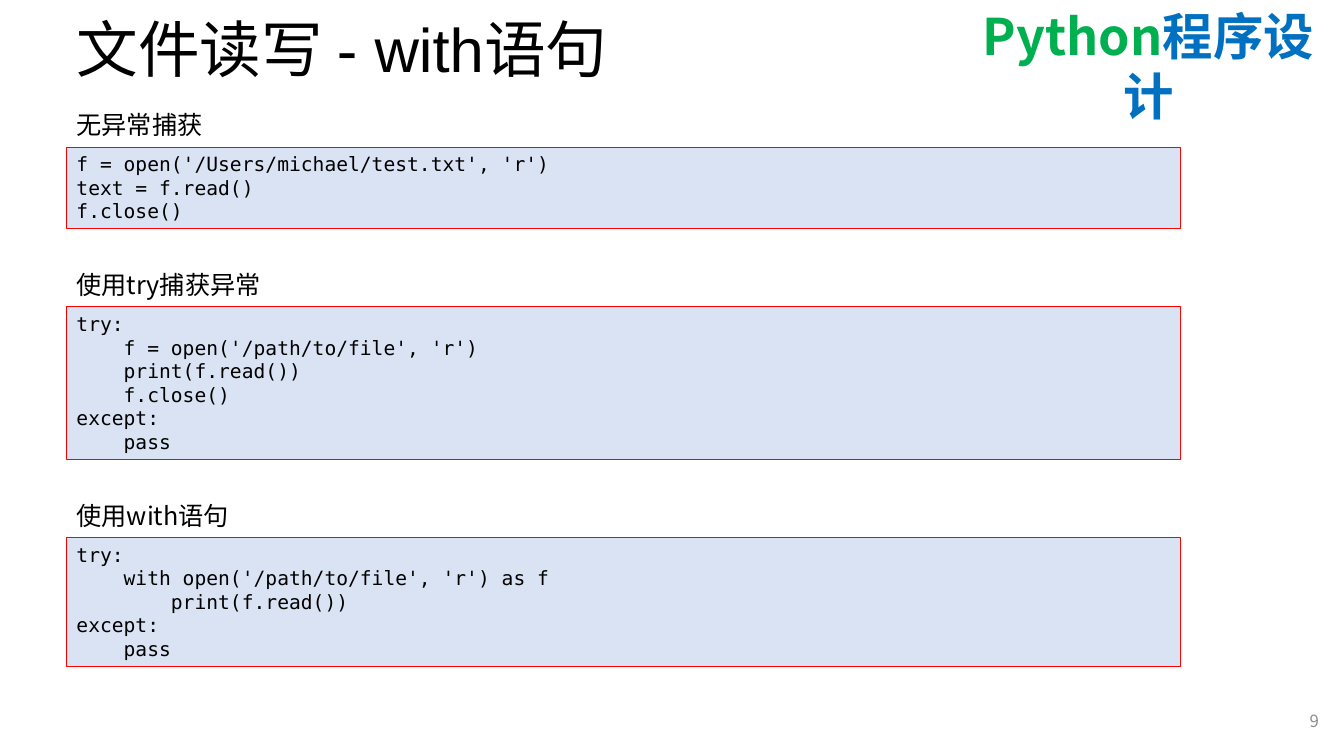
"""Build the slide on reading files with and without the with statement."""
from lxml import etree
from pptx import Presentation
from pptx.dml.color import RGBColor
from pptx.enum.shapes import MSO_SHAPE
from pptx.enum.text import MSO_ANCHOR, PP_ALIGN
from pptx.oxml.ns import qn
from pptx.util import Inches, Pt

RECT = MSO_SHAPE.RECTANGLE
TOP, MIDDLE = MSO_ANCHOR.TOP, MSO_ANCHOR.MIDDLE
LEFT, CENTER, RIGHT = PP_ALIGN.LEFT, PP_ALIGN.CENTER, PP_ALIGN.RIGHT

TITLE = "文件读写 - with语句"
COURSE = [("Python", "green"), ("程序设计", "blue")]
NUMBER = "9"
SECTIONS = [
    ("无异常捕获", """f = open('/Users/michael/test.txt', 'r')
text = f.read()
f.close()"""),
    ("使用try捕获异常", """try:
    f = open('/path/to/file', 'r')
    print(f.read())
    f.close()
except:
    pass"""),
    ("使用with语句", """try:
    with open('/path/to/file', 'r') as f
        print(f.read())
except:
    pass"""),
]

THEME = {
    "black": "000000", "green": "00B050", "blue": "0070C0",
    "gray": "8C8C8C", "panel": "DAE3F3", "border": "FF0000",
    "head": "Arial", "body": "Noto Sans CJK SC", "mono": "DejaVu Sans Mono",
    "title": 44, "course": 36, "label": 18, "code": 14, "number": 12,
}
EDGE, WIDE = 0.66, 11.05
START, DROP, GAP = 1.04, 0.42, 0.36
LINE, PAD = 0.235, 0.1


def color(name):
    return RGBColor.from_string(THEME[name])


def style(run, size, face="body", tint="black", bold=False):
    font = run.font
    font.size, font.name, font.bold = Pt(THEME[size]), THEME[face], bold
    font.color.rgb = color(tint)
    asian = etree.SubElement(run._r.get_or_add_rPr(), qn("a:ea"))
    asian.set("typeface", THEME["body"])


def write(shape, text, size, face="body", tint="black", align=LEFT, anchor=TOP):
    frame = shape.text_frame
    frame.word_wrap = True
    frame.vertical_anchor = anchor
    frame.text = text
    for para in frame.paragraphs:
        para.alignment = align
        for run in para.runs:
            style(run, size, face, tint)
    return frame


def add_box(slide, *place):
    return slide.shapes.add_textbox(*map(Inches, place))


def add_code(slide, text, top, high):
    panel = slide.shapes.add_shape(RECT, *map(Inches, (EDGE, top, WIDE, high)))
    panel.shadow.inherit = False
    panel.fill.solid()
    panel.fill.fore_color.rgb = color("panel")
    panel.line.color.rgb = color("border")
    panel.line.width = Pt(0.75)
    write(panel, text, "code", "mono")


def main():
    deck = Presentation()
    deck.slide_width, deck.slide_height = Inches(13.33), Inches(7.5)
    slide = deck.slides.add_slide(deck.slide_layouts[6])

    course = add_box(slide, 9.47, 0, 3.84, 0.71).text_frame
    course.word_wrap = True
    para = course.paragraphs[0]
    para.alignment = CENTER
    for text, tint in COURSE:
        run = para.add_run()
        run.text = text
        style(run, "course", tint=tint, bold=True)

    title = write(add_box(slide, EDGE, 0, 11.5, 1.05), TITLE, "title", "head", anchor=MIDDLE)
    title.paragraphs[0].line_spacing = 0.9
    write(add_box(slide, 10.18, 6.95, 3, 0.4), NUMBER, "number",
          tint="gray", align=RIGHT, anchor=MIDDLE)

    top = START
    for label, code in SECTIONS:
        high = len(code.splitlines()) * LINE + PAD
        write(add_box(slide, EDGE, top, 12.1, 0.4), label, "label")
        add_code(slide, code, top + DROP, high)
        top += DROP + high + GAP

    deck.save("out.pptx")


if __name__ == "__main__":
    main()
